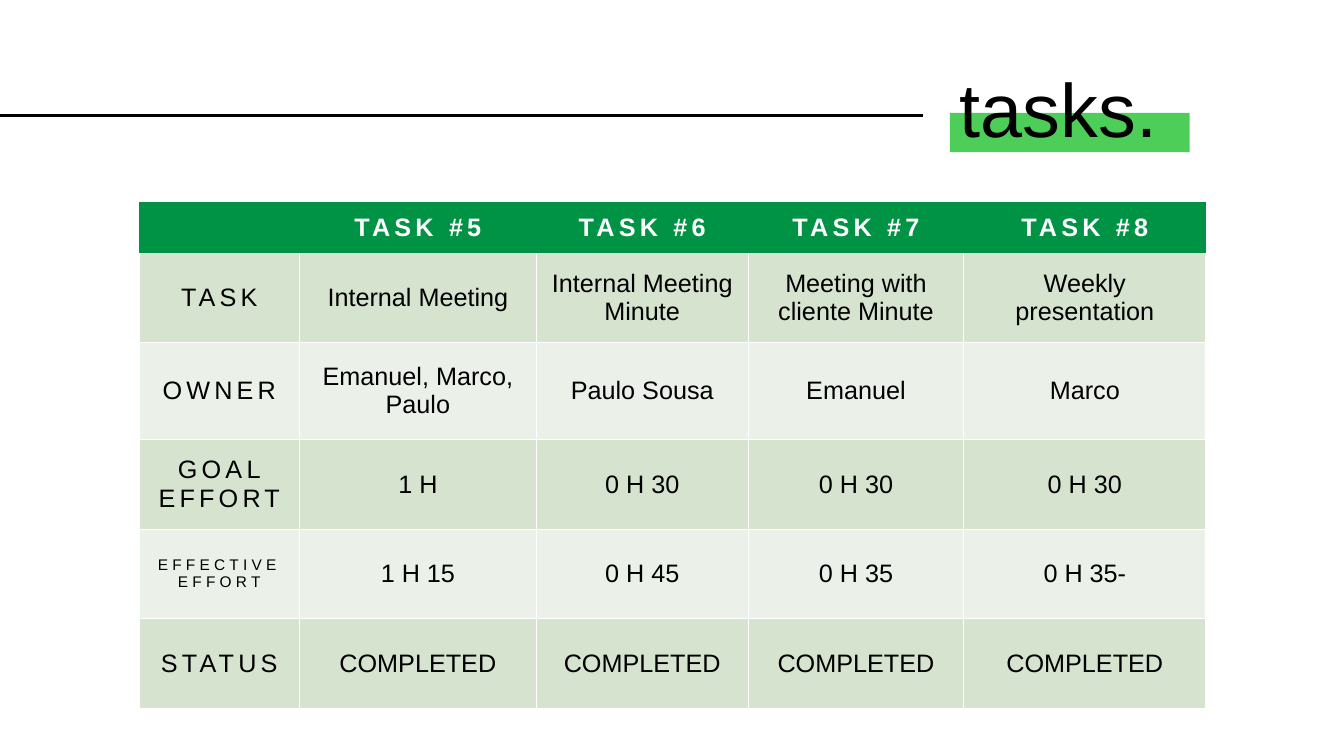
"""Build the tasks slide with its table of efforts and statuses."""
from dataclasses import dataclass

from lxml import etree
from pptx import Presentation
from pptx.dml.color import RGBColor
from pptx.enum.shapes import MSO_CONNECTOR, MSO_SHAPE
from pptx.enum.text import MSO_ANCHOR, PP_ALIGN
from pptx.oxml.ns import qn
from pptx.util import Inches, Pt

RECTANGLE = MSO_SHAPE.RECTANGLE
STRAIGHT = MSO_CONNECTOR.STRAIGHT
MIDDLE = MSO_ANCHOR.MIDDLE
CENTER = PP_ALIGN.CENTER

FONT = "Arial"
BLACK, WHITE = "000000", "FFFFFF"
HIGHLIGHT, HEADER_GREEN = "4DCE59", "009245"
BAND_FILLS = ("D5E3CF", "EBF1E9")
LABEL_SPACING = 3
BORDER_SIDES = ("lnL", "lnR", "lnT", "lnB")
COLUMN_WIDTHS = (1.59, 2.35, 2.1, 2.14, 2.4)


@dataclass(frozen=True)
class TaskRow:
    label: str
    values: tuple[str, ...]
    height: float = 0.89
    label_size: float = 18


TASK_ROWS = (
    TaskRow("", ("TASK #5", "TASK #6", "TASK #7", "TASK #8"), height=0.51),
    TaskRow("TASK", ("Internal Meeting", "Internal Meeting Minute",
                     "Meeting with cliente Minute", "Weekly presentation")),
    TaskRow("OWNER", ("Emanuel, Marco, Paulo", "Paulo Sousa", "Emanuel", "Marco"),
            height=0.96),
    TaskRow("GOAL\nEFFORT", ("1 H", "0 H 30", "0 H 30", "0 H 30")),
    TaskRow("EFFECTIVE EFFORT", ("1 H 15", "0 H 45", "0 H 35", "0 H 35-"),
            label_size=11),
    TaskRow("STATUS", ("COMPLETED",) * 4),
)


def color(value: str) -> RGBColor:
    return RGBColor.from_string(value)


def set_borders(cell, visible_sides: tuple[str, ...]) -> None:
    properties = cell._tc.get_or_add_tcPr()
    for side in BORDER_SIDES:
        line = etree.SubElement(properties, qn(f"a:{side}"), w=str(Pt(1)))
        if side in visible_sides:
            fill = etree.SubElement(line, qn("a:solidFill"))
            etree.SubElement(fill, qn("a:srgbClr"), val=WHITE)
        else:
            etree.SubElement(line, qn("a:noFill"))


def format_text(text_frame, size: float, text_color: str,
                bold: bool = False, spacing: float = 0) -> None:
    for paragraph in text_frame.paragraphs:
        for run in paragraph.runs:
            run.font.name = FONT
            run.font.size = Pt(size)
            run.font.bold = bold
            run.font.color.rgb = color(text_color)
            run._r.get_or_add_rPr().set("spc", str(int(spacing * 100)))


def fill_cell(cell, text: str, row_index: int, is_label: bool, size: float) -> None:
    is_header = row_index == 0
    if is_header:
        set_borders(cell, ())
    elif row_index == 1:
        set_borders(cell, ("lnL", "lnR", "lnB"))
    else:
        set_borders(cell, BORDER_SIDES)
    fill = HEADER_GREEN if is_header else BAND_FILLS[(row_index - 1) % 2]
    cell.fill.solid()
    cell.fill.fore_color.rgb = color(fill)
    cell.vertical_anchor = MIDDLE
    cell.text_frame.text = text
    for paragraph in cell.text_frame.paragraphs:
        paragraph.alignment = CENTER
    format_text(cell.text_frame, size, WHITE if is_header else BLACK, is_header,
                LABEL_SPACING if is_header or is_label else 0)


def add_heading(slide) -> None:
    highlight = slide.shapes.add_shape(
        RECTANGLE, Inches(9.42), Inches(1.12), Inches(2.38), Inches(0.39))
    highlight.shadow.inherit = False
    highlight.fill.solid()
    highlight.fill.fore_color.rgb = color(HIGHLIGHT)
    highlight.line.fill.background()

    rule = slide.shapes.add_connector(
        STRAIGHT, Inches(0), Inches(1.15), Inches(9.15), Inches(1.15))
    rule.line.color.rgb = color(BLACK)
    rule.line.width = Pt(2.25)
    etree.SubElement(rule._element.spPr, qn("a:effectLst"))

    title = slide.shapes.add_textbox(
        Inches(9.42), Inches(0.4), Inches(2.99), Inches(1.45))
    title.text_frame.word_wrap = True
    title.text_frame.vertical_anchor = MIDDLE
    title.text_frame.text = "tasks."
    title.text_frame.paragraphs[0].line_spacing = 0.9
    format_text(title.text_frame, 54, BLACK)


def add_task_table(slide) -> None:
    table = slide.shapes.add_table(
        len(TASK_ROWS), len(COLUMN_WIDTHS), Inches(1.38), Inches(2),
        Inches(sum(COLUMN_WIDTHS)), Inches(sum(row.height for row in TASK_ROWS))).table
    for column, width in zip(table.columns, COLUMN_WIDTHS):
        column.width = Inches(width)
    for row_index, row in enumerate(TASK_ROWS):
        table.rows[row_index].height = Inches(row.height)
        for column_index, text in enumerate((row.label, *row.values)):
            is_label = column_index == 0
            fill_cell(table.cell(row_index, column_index), text, row_index, is_label,
                      row.label_size if is_label else 18)


def main() -> None:
    presentation = Presentation()
    presentation.slide_width = Inches(13.33)
    presentation.slide_height = Inches(7.5)
    slide = presentation.slides.add_slide(presentation.slide_layouts[6])
    add_heading(slide)
    add_task_table(slide)
    presentation.save("out.pptx")


if __name__ == "__main__":
    main()
